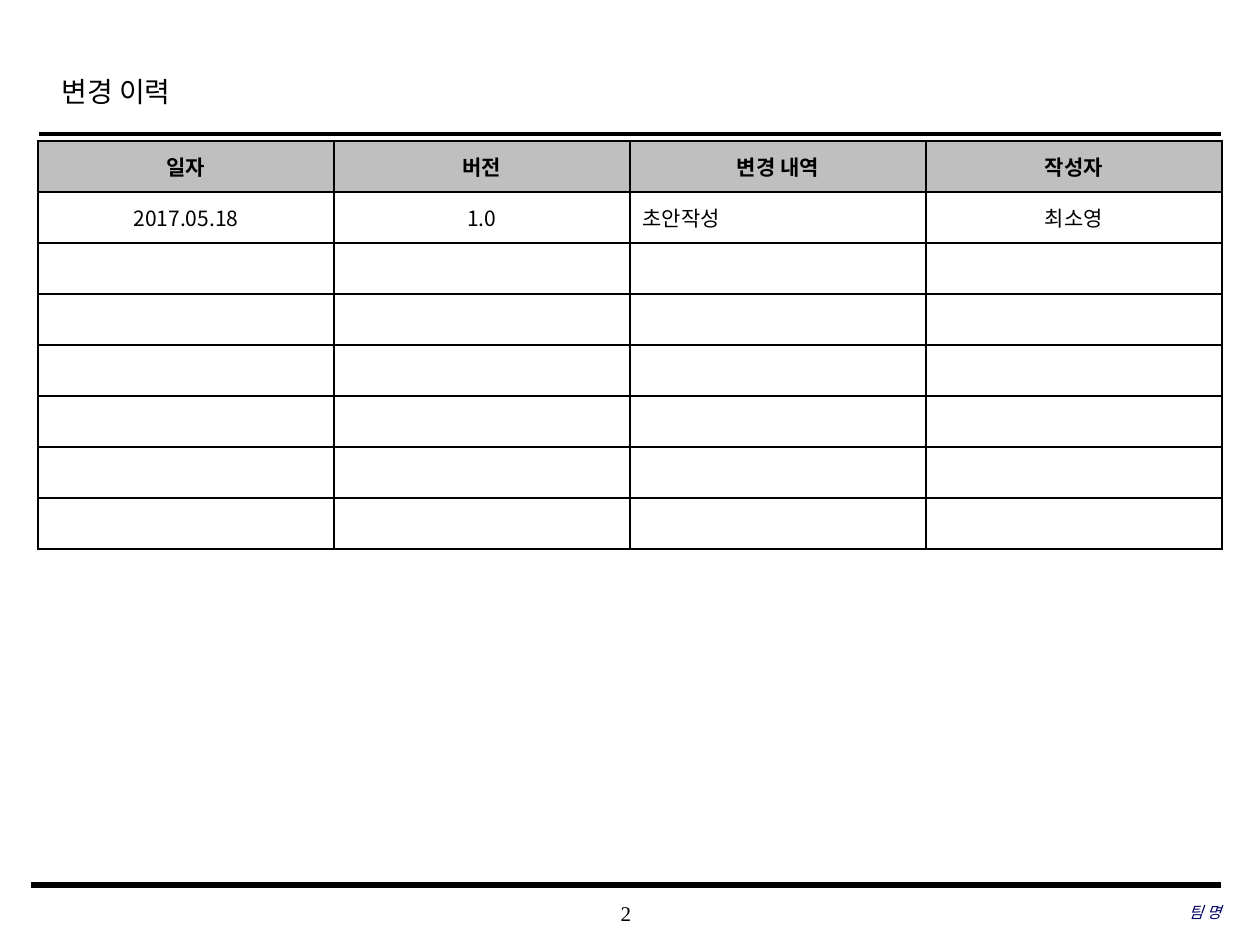
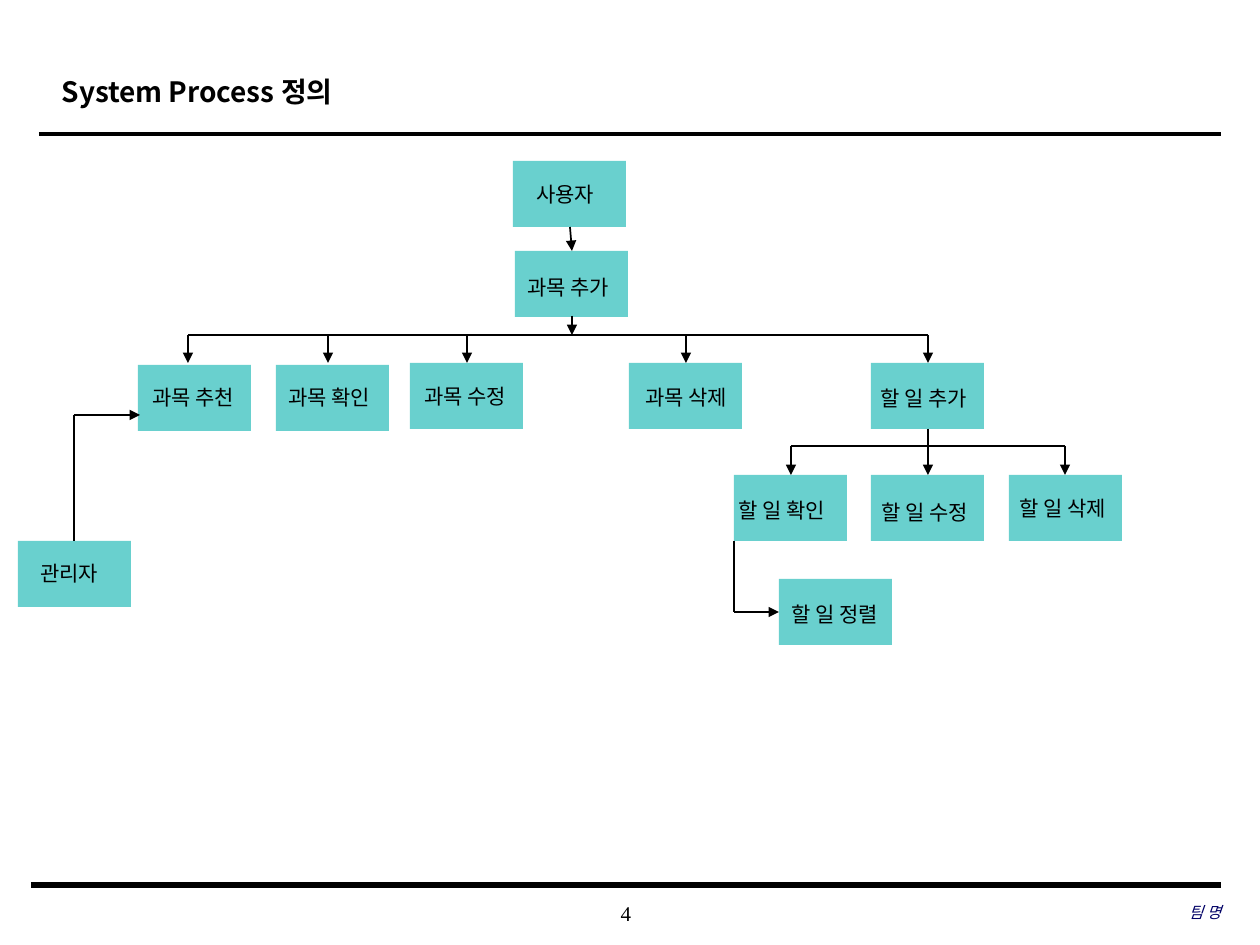
from dataclasses import dataclass

from lxml import etree
from pptx import Presentation
from pptx.dml.color import RGBColor
from pptx.enum.shapes import MSO_CONNECTOR as Connector
from pptx.enum.shapes import MSO_SHAPE as Preset
from pptx.enum.text import MSO_ANCHOR as Anchor
from pptx.enum.text import MSO_AUTO_SIZE as AutoSize
from pptx.enum.text import PP_ALIGN as Align
from pptx.oxml.ns import qn
from pptx.slide import Slide
from pptx.table import _Cell as Cell
from pptx.text.text import _Paragraph as Paragraph
from pptx.util import Emu, Inches, Pt

BLACK = RGBColor(0x00, 0x00, 0x00)
WHITE = RGBColor(0xFF, 0xFF, 0xFF)
HEADER_GREY = RGBColor(0xBF, 0xBF, 0xBF)
NAVY = RGBColor(0x00, 0x00, 0x66)
TEAL = RGBColor(0x00, 0xB0, 0xAC)
TEAL_OPACITY = 59000

KOREAN = "Noto Sans CJK KR"
SERIF = "Times New Roman"
SANS = "Arial"

EMU_PER_PIXEL = Inches(1) / 126
TITLE_ONLY = 5
BOX_WIDTH, BOX_HEIGHT = 113, 66
LABEL_HEIGHT = 38
ROW_HEIGHT, COLUMN_WIDTH = 51, 296


def px(pixels: float) -> Emu:
    return Emu(round(pixels * EMU_PER_PIXEL))


@dataclass(frozen=True)
class Style:
    size: int
    font: str
    color: RGBColor = BLACK
    bold: bool = False
    italic: bool = False
    align: Align = Align.LEFT


@dataclass(frozen=True)
class ProcessBox:
    text: str
    left: int
    top: int
    label_left: int
    label_top: int
    label_width: int = 116


@dataclass(frozen=True)
class Line:
    start: tuple[int, int]
    end: tuple[int, int]
    width: float = 1
    arrow: bool = False


@dataclass(frozen=True)
class Branch:
    bus_y: int
    child_y: int
    child_xs: tuple[int, ...]


PAGE_STYLE = Style(12, SERIF, align=Align.CENTER)
TEAM_STYLE = Style(9, SERIF, NAVY, italic=True, align=Align.RIGHT)
LABEL_STYLE = Style(12, SANS)
HEADER_STYLE = Style(12, KOREAN, bold=True, align=Align.CENTER)
CENTER_STYLE = Style(12, KOREAN, align=Align.CENTER)
LEFT_STYLE = Style(12, KOREAN)

RULES = [
    Line((39, 134), (1221, 134), 2.5),
    Line((31, 885), (1221, 885), 3),
]

HEADERS = ["일자", "버전", "변경 내역", "작성자"]
HISTORY = [["2017.05.18", "1.0", "초안작성", "최소영"]]
EMPTY_ROWS = 6
LEFT_COLUMN = 2

BOXES = [
    ProcessBox("사용자", 513, 161, 524, 175),
    ProcessBox("과목 추가", 515, 251, 515, 268),
    ProcessBox("과목 추천", 138, 365, 140, 378),
    ProcessBox("과목 확인", 276, 365, 276, 378),
    ProcessBox("과목 수정", 410, 363, 412, 377),
    ProcessBox("과목 삭제", 629, 363, 633, 378),
    ProcessBox("할 일 추가", 871, 363, 868, 379, 147),
    ProcessBox("할 일 확인", 734, 475, 726, 491, 130),
    ProcessBox("할 일 수정", 871, 475, 869, 493, 132),
    ProcessBox("할 일 삭제", 1009, 475, 1007, 489, 152),
    ProcessBox("할 일 정렬", 779, 579, 779, 595, 127),
    ProcessBox("관리자", 18, 541, 28, 554),
]
BRANCHES = [
    Branch(335, 363, (188, 328, 467, 686, 928)),
    Branch(446, 475, (791, 928, 1065)),
]
LINKS = [
    Line((570, 227), (572, 251), arrow=True),
    Line((572, 316), (572, 335), arrow=True),
    Line((928, 429), (928, 446)),
    Line((734, 541), (734, 612)),
    Line((734, 612), (779, 612), arrow=True),
    Line((74, 541), (74, 415)),
    Line((74, 415), (140, 415), arrow=True),
]


def format_paragraph(paragraph: Paragraph, style: Style) -> None:
    paragraph.alignment = style.align
    font = paragraph.font
    font.size = Pt(style.size)
    font.name = style.font
    font.bold = style.bold
    font.italic = style.italic
    font.color.rgb = style.color
    defaults = paragraph._p.pPr.find(qn("a:defRPr"))
    etree.SubElement(defaults, qn("a:ea"), typeface=KOREAN)


def add_text(slide: Slide, text: str, left: int, top: int, width: int,
             height: int, style: Style, inset: bool = True) -> None:
    frame = slide.shapes.add_textbox(
        px(left), px(top), px(width), px(height)).text_frame
    frame.word_wrap = True
    if not inset:
        frame.margin_left = frame.margin_right = 0
        frame.margin_top = frame.margin_bottom = 0
        frame.vertical_anchor = Anchor.MIDDLE
    paragraph = frame.paragraphs[0]
    paragraph.text = text
    format_paragraph(paragraph, style)


def add_line(slide: Slide, line: Line) -> None:
    connector = slide.shapes.add_connector(
        Connector.STRAIGHT, *map(px, line.start + line.end))
    connector.line.color.rgb = BLACK
    connector.line.width = Pt(line.width)
    if line.arrow:
        etree.SubElement(connector.line._get_or_add_ln(),
                         qn("a:tailEnd"), type="triangle")
    etree.SubElement(connector._element.spPr, qn("a:effectLst"))


def add_page(presentation: Presentation, title: str, style: Style,
             number: int) -> Slide:
    slide = presentation.slides.add_slide(
        presentation.slide_layouts[TITLE_ONLY])
    shape = slide.shapes.title
    shape.left, shape.top = px(49), px(62)
    shape.width, shape.height = px(951), px(63)
    frame = shape.text_frame
    frame.auto_size = AutoSize.NONE
    frame.vertical_anchor = Anchor.TOP
    paragraph = frame.paragraphs[0]
    paragraph.text = title
    paragraph.line_spacing = 1.2
    format_paragraph(paragraph, style)
    for rule in RULES:
        add_line(slide, rule)
    add_text(slide, str(number), 495, 892, 262, 42, PAGE_STYLE, inset=False)
    add_text(slide, "팀 명", 835, 891, 386, 42, TEAM_STYLE, inset=False)
    return slide


def add_borders(cell: Cell) -> None:
    properties = cell._tc.get_or_add_tcPr()
    for index, side in enumerate(("lnL", "lnR", "lnT", "lnB")):
        border = etree.Element(qn(f"a:{side}"), w=str(Pt(1)))
        fill = etree.SubElement(border, qn("a:solidFill"))
        etree.SubElement(fill, qn("a:srgbClr"), val=str(BLACK))
        properties.insert(index, border)


def add_history_table(slide: Slide) -> None:
    columns = len(HEADERS)
    rows = [HEADERS, *HISTORY, *[[""] * columns] * EMPTY_ROWS]
    table = slide.shapes.add_table(
        len(rows), columns, px(38), px(141),
        px(COLUMN_WIDTH * columns), px(ROW_HEIGHT * len(rows))).table
    table.first_row = table.horz_banding = False
    for row_index, row in enumerate(rows):
        for column_index, text in enumerate(row):
            is_header = row_index == 0
            cell = table.cell(row_index, column_index)
            cell.vertical_anchor = Anchor.MIDDLE
            cell.fill.solid()
            cell.fill.fore_color.rgb = HEADER_GREY if is_header else WHITE
            add_borders(cell)
            paragraph = cell.text_frame.paragraphs[0]
            paragraph.text = text
            if is_header:
                style = HEADER_STYLE
            elif column_index == LEFT_COLUMN:
                style = LEFT_STYLE
            else:
                style = CENTER_STYLE
            format_paragraph(paragraph, style)


def add_box(slide: Slide, box: ProcessBox) -> None:
    shape = slide.shapes.add_shape(
        Preset.RECTANGLE, px(box.left), px(box.top),
        px(BOX_WIDTH), px(BOX_HEIGHT))
    shape.shadow.inherit = False
    shape.line.fill.background()
    shape.fill.solid()
    shape.fill.fore_color.rgb = TEAL
    color = shape._element.spPr.find(qn("a:solidFill"))[0]
    etree.SubElement(color, qn("a:alpha"), val=str(TEAL_OPACITY))


def add_branch(slide: Slide, branch: Branch) -> None:
    y = branch.bus_y
    add_line(slide, Line((branch.child_xs[0], y), (branch.child_xs[-1], y)))
    for x in branch.child_xs:
        add_line(slide, Line((x, y), (x, branch.child_y), arrow=True))


def add_process_diagram(slide: Slide) -> None:
    for box in BOXES:
        add_box(slide, box)
    for branch in BRANCHES:
        add_branch(slide, branch)
    for link in LINKS:
        add_line(slide, link)
    for box in BOXES:
        add_text(slide, box.text, box.label_left, box.label_top,
                 box.label_width, LABEL_HEIGHT, LABEL_STYLE)


def main() -> None:
    presentation = Presentation()
    presentation.slide_width, presentation.slide_height = px(1260), px(945)
    add_history_table(
        add_page(presentation, "변경 이력", Style(16, SERIF), 2))
    add_process_diagram(
        add_page(presentation, "System Process 정의",
                 Style(16, KOREAN, bold=True), 4))
    presentation.save("out.pptx")


main()
